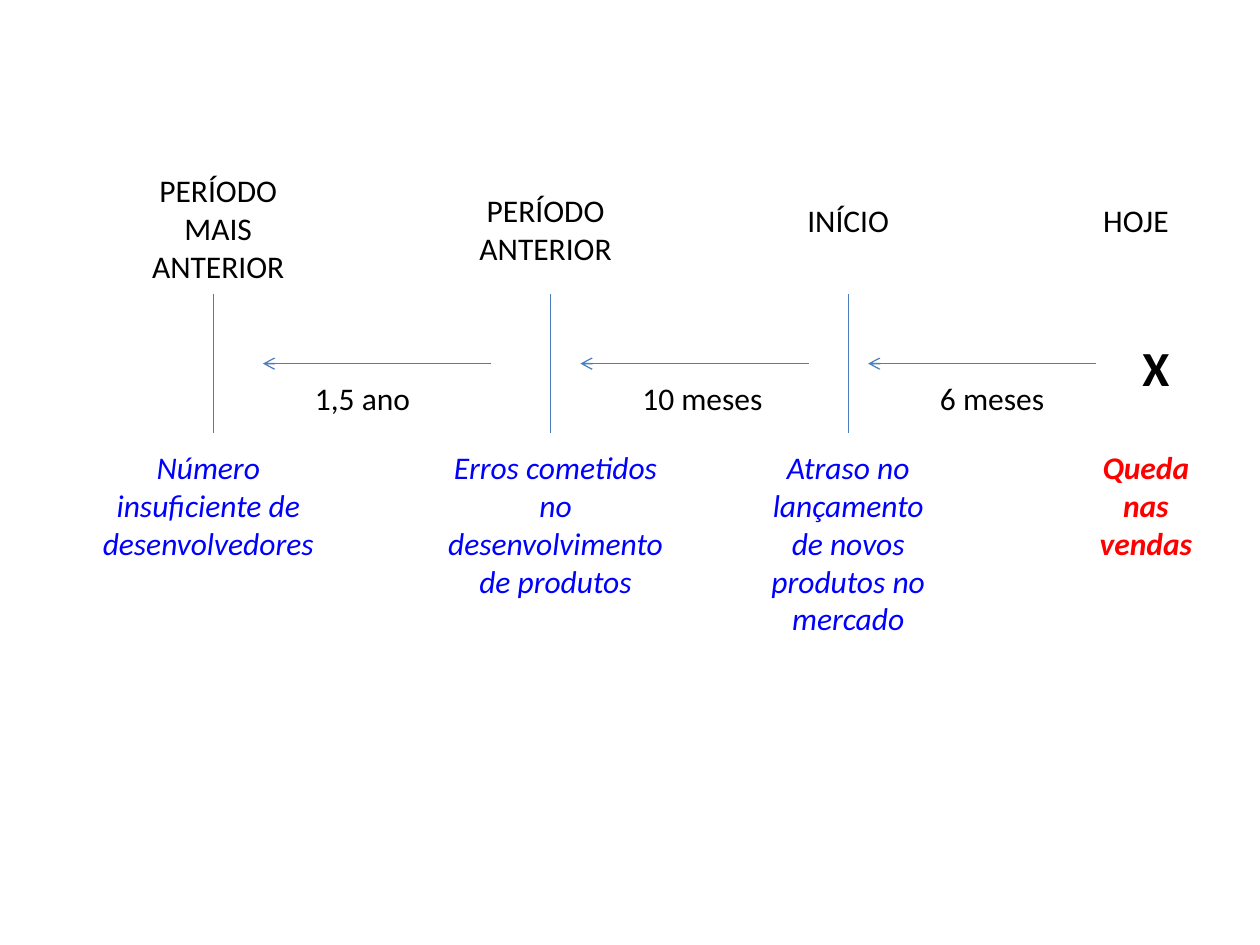
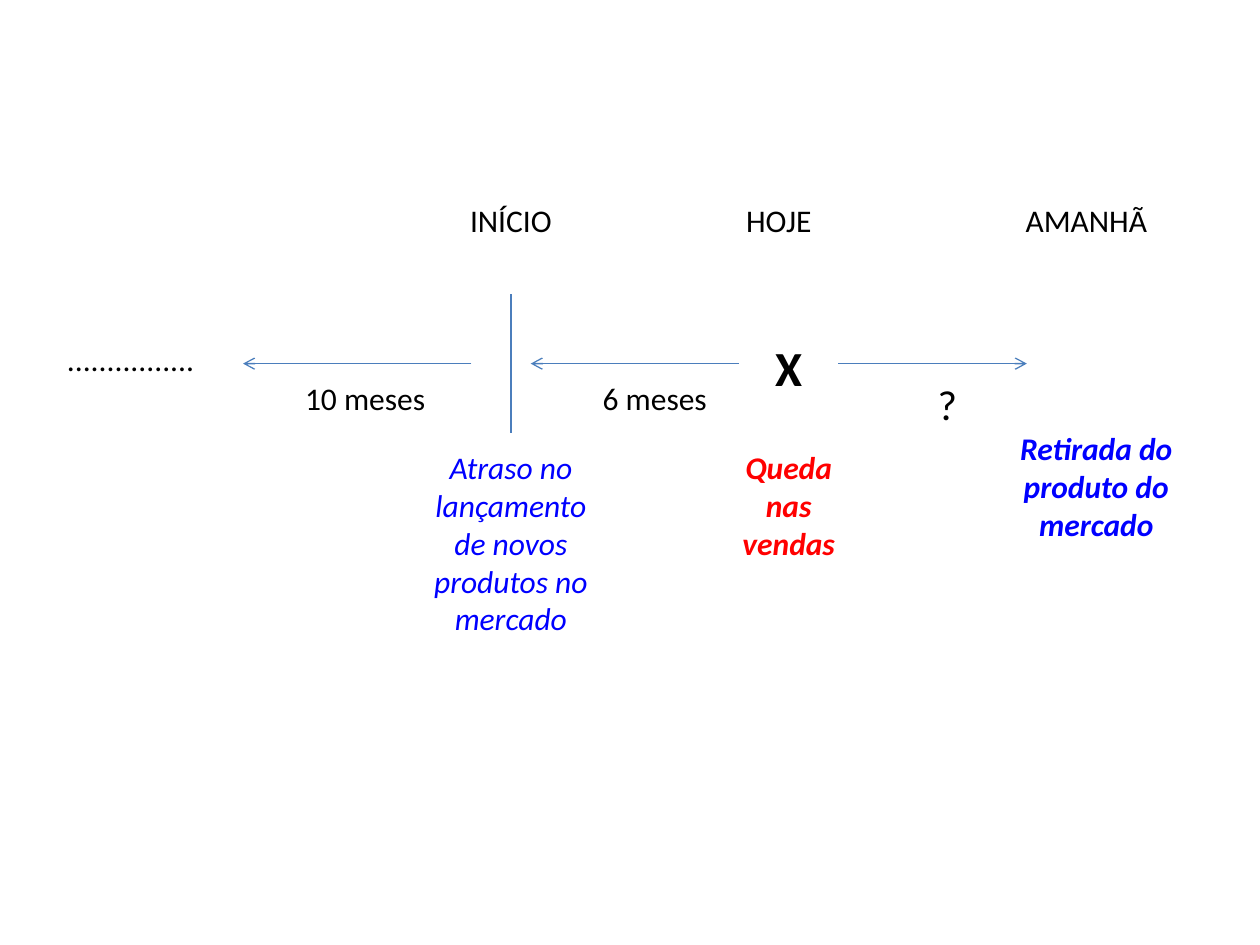
"""Two timelines that trace a drop in sales back to its causes and forward to its effect."""
from lxml import etree
from pptx import Presentation
from pptx.dml.color import RGBColor
from pptx.enum.shapes import MSO_CONNECTOR
from pptx.enum.text import MSO_AUTO_SIZE, PP_ALIGN
from pptx.oxml.ns import qn
from pptx.util import Cm, Pt

STRAIGHT = MSO_CONNECTOR.STRAIGHT
CENTER, LEFT = PP_ALIGN.CENTER, PP_ALIGN.LEFT
GROW = MSO_AUTO_SIZE.SHAPE_TO_FIT_TEXT
BLACK, BLUE, RED, LINE = "000000", "0000FF", "FF0000", "4B7EBC"
AXIS_Y, TICK_TOP, TICK_BOTTOM = 7.33, 5.93, 8.73
HEAD_Y, MARK_Y, SPAN_Y, EVENT_Y = 3.93, 6.68, 7.51, 8.91
DELAY = "Atraso no lançamento de novos produtos no mercado"

STYLES = {
    "head": (18, BLACK, False, False, CENTER),
    "mark": (28, BLACK, True, False, CENTER),
    "span": (18, BLACK, False, False, LEFT),
    "doubt": (24, BLACK, False, False, CENTER),
    "cause": (18, BLUE, False, True, CENTER),
    "problem": (18, RED, True, True, CENTER),
    "effect": (18, BLUE, True, True, CENTER),
}

timelines = [
    {
        "ticks": [4.3, 11.1, 17.1],
        "arrows": [(9.9, 5.3), (16.3, 11.7), (22.1, 17.5)],
        "labels": [
            ("head", "PERÍODO MAIS ANTERIOR", 2.5, 3.33, 3.8, 2.57),
            ("head", "PERÍODO ANTERIOR", 9.1, 3.73, 3.8, 1.8),
            ("head", "INÍCIO", 15.5, HEAD_Y, 3.2, 1.03),
            ("head", "HOJE", 21.3, HEAD_Y, 3.2, 1.03),
            ("span", "1,5 ano", 6.1, SPAN_Y, 3.2, 1.03),
            ("span", "10 meses", 12.7, SPAN_Y, 3.2, 1.03),
            ("span", "6 meses", 18.7, SPAN_Y, 2.8, 1.03),
            ("mark", "X", 21.9, MARK_Y, 2.8, 1.45),
            ("cause", "Número insuficiente de desenvolvedores", 1.7, EVENT_Y, 5, 2.57),
            ("cause", "Erros cometidos\vno desenvolvimento de produtos", 8.5, EVENT_Y, 5.4, 3.33),
            ("cause", DELAY, 15.1, EVENT_Y, 4, 4.1),
            ("problem", "Queda nas vendas", 21.9, EVENT_Y, 2.4, 2.57),
        ],
    },
    {
        "ticks": [10.3],
        "arrows": [(9.5, 4.9), (14.9, 10.7), (16.9, 20.7)],
        "labels": [
            ("head", "INÍCIO", 8.7, HEAD_Y, 3.2, 1.03),
            ("head", "HOJE", 14.1, HEAD_Y, 3.2, 1.03),
            ("head", "AMANHÃ", 20.3, HEAD_Y, 3.2, 1.03),
            ("span", "................", 1.1, 6.73, 3.2, 1.03),
            ("span", "10 meses", 5.9, SPAN_Y, 3.2, 1.03),
            ("span", "6 meses", 11.9, SPAN_Y, 2.8, 1.03),
            ("doubt", "?", 18.5, SPAN_Y, 1.2, 1.27),
            ("mark", "X", 14.5, MARK_Y, 2.8, 1.45),
            ("cause", DELAY, 8.3, EVENT_Y, 4, 4.1),
            ("problem", "Queda nas vendas", 14.7, EVENT_Y, 2.4, 2.57),
            ("effect", "Retirada do produto do mercado", 20.1, 8.53, 4, 2.57),
        ],
    },
]


def color(text):
    return RGBColor.from_string(text)


def add_line(s, x1, y1, x2, y2):
    line = s.shapes.add_connector(STRAIGHT, Cm(x1), Cm(y1), Cm(x2), Cm(y2))
    line.line.color.rgb = color(LINE)
    line.line.width = Pt(0.75)
    etree.SubElement(line._element.spPr, qn("a:effectLst"))
    return line


prs = Presentation()
prs.slide_width, prs.slide_height = Cm(25.4), Cm(19.05)

for timeline in timelines:
    s = prs.slides.add_slide(prs.slide_layouts[6])
    for x in timeline["ticks"]:
        add_line(s, x, TICK_TOP, x, TICK_BOTTOM)
    for start, end in timeline["arrows"]:
        arrow = add_line(s, start, AXIS_Y, end, AXIS_Y)
        etree.SubElement(arrow.line._get_or_add_ln(), qn("a:tailEnd"), type="arrow")
    for style, text, left, top, width, height in timeline["labels"]:
        size, ink, bold, italic, align = STYLES[style]
        tf = s.shapes.add_textbox(Cm(left), Cm(top), Cm(width), Cm(height)).text_frame
        tf.word_wrap = True
        tf.auto_size = GROW
        p = tf.paragraphs[0]
        p.text = text
        p.alignment = align
        p.font.name = "Calibri"
        p.font.size = Pt(size)
        p.font.bold = bold
        p.font.italic = italic
        p.font.color.rgb = color(ink)

prs.save("out.pptx")
